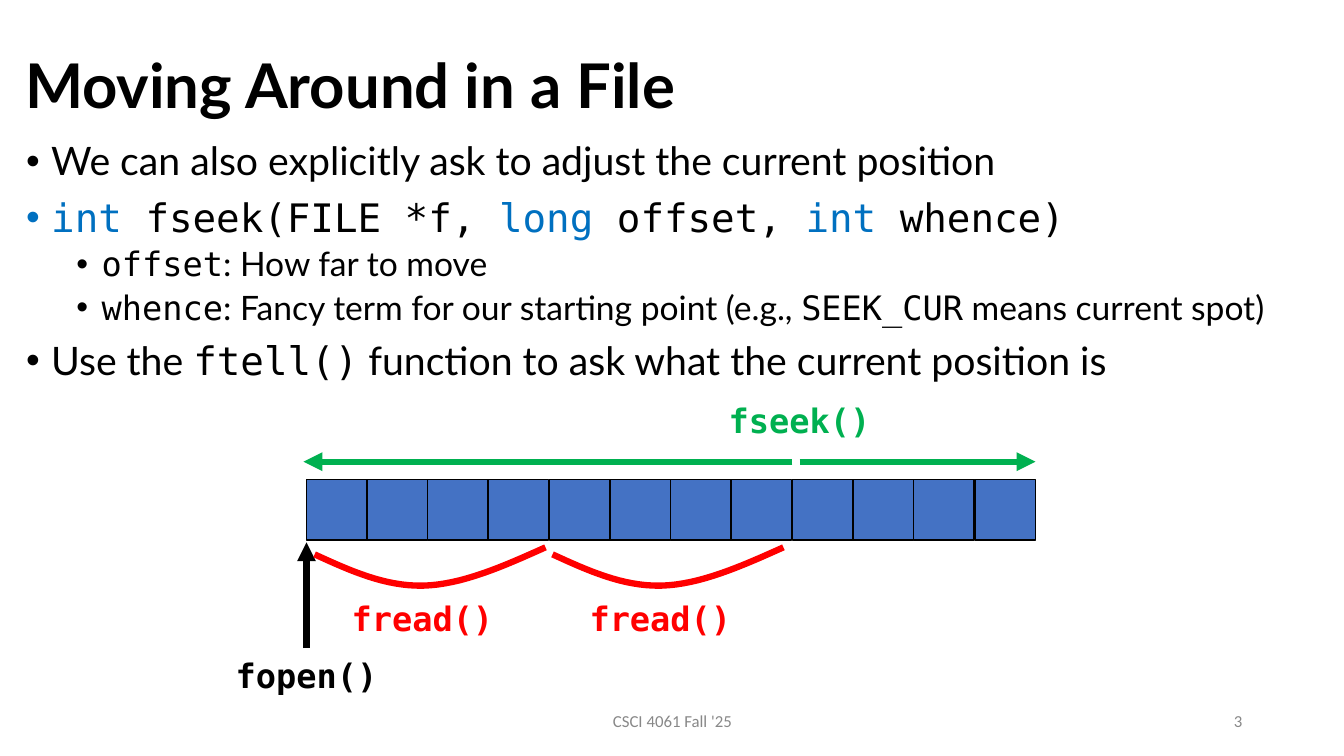
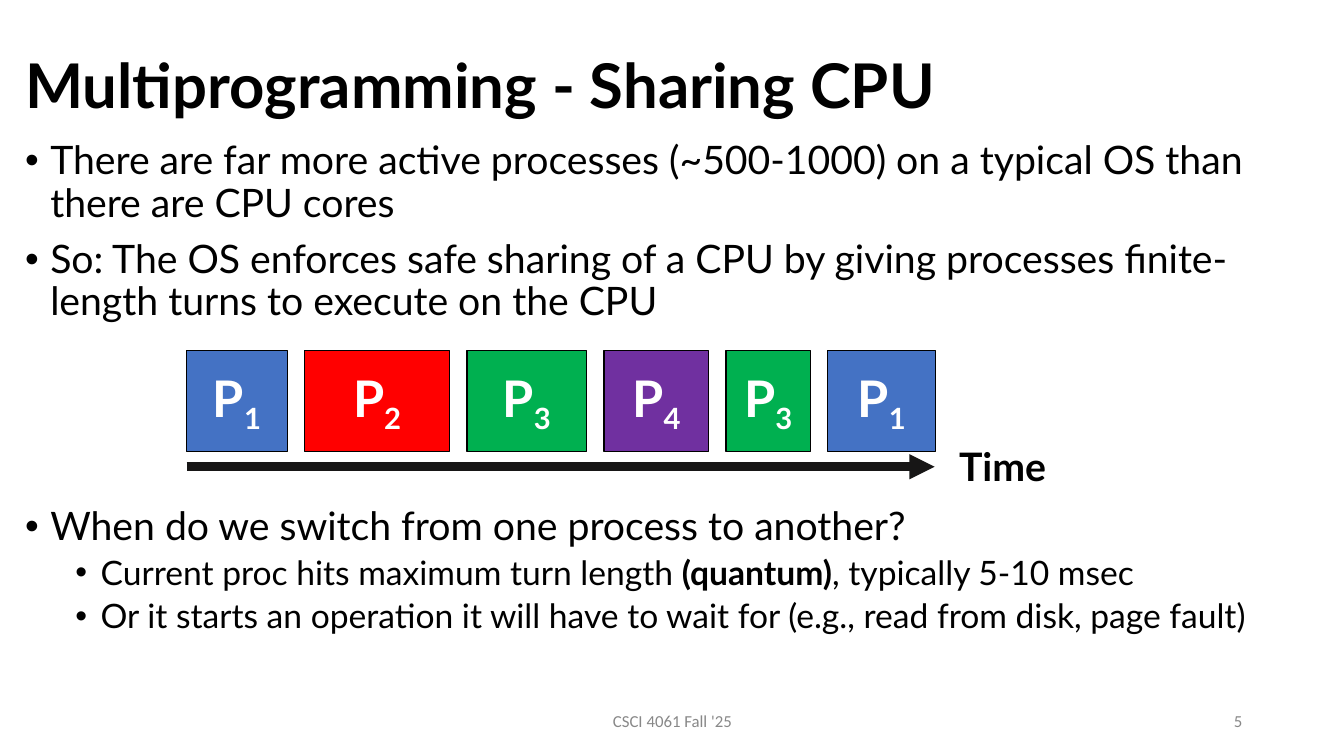
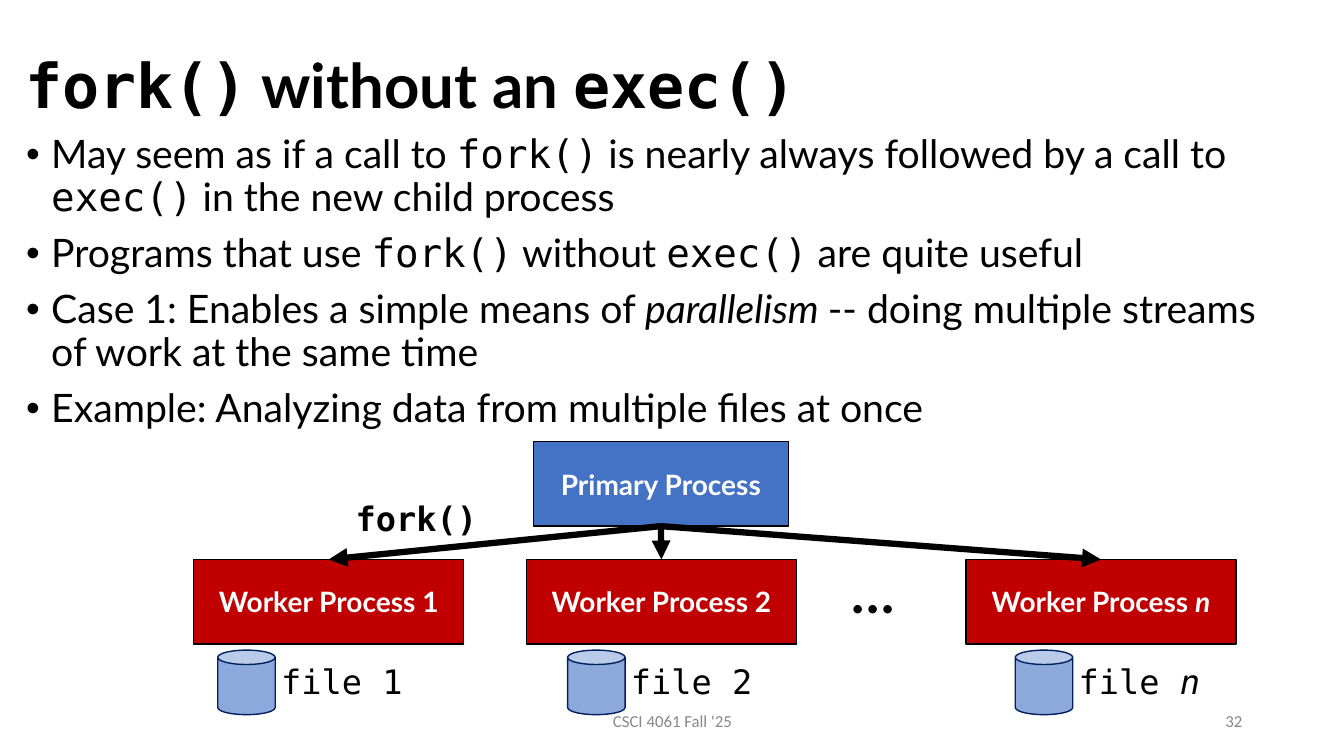
from lxml.etree import SubElement as Sub
from pptx import Presentation
from pptx.dml.color import RGBColor
from pptx.enum.shapes import MSO_CONNECTOR as Conn, MSO_SHAPE as Kind
from pptx.enum.text import MSO_ANCHOR as Anchor, PP_ALIGN as Align
from pptx.oxml.ns import qn
from pptx.util import Emu, Pt

SCALE = 9144  # 100 px to the inch
LATO, MONO = "Lato", "DejaVu Sans Mono"
BLACK, WHITE, GREY, INK = "000000", "FFFFFF", "888888", "171616"
BLUE, SKY, NAVY, CODE_BLUE = "4472C4", "8DA9DB", "002060", "0070C0"
RED, DARK_RED, GREEN, PURPLE = "FF0000", "C00000", "00B050", "7030A0"

CODE = {"name": MONO}
KEY = {"name": MONO, "hue": CODE_BLUE}
BOLD, ITALIC, LOW = {"bold": True}, {"italic": True}, {"base": -25000}


def px(n):
    return Emu(n * SCALE)


def rgb(hue):
    return RGBColor.from_string(hue)


def write(par, runs, size, hue=BLACK, name=LATO, bold=False):
    """Fill a paragraph; a run is a string or a (string, style) pair."""
    font = par.font
    font.size, font.name, font.bold = Pt(size), name, bold
    font.color.rgb = rgb(hue)
    for part in [runs] if isinstance(runs, str) else runs:
        text, style = (part, {}) if isinstance(part, str) else part
        run = par.add_run()
        run.text = text
        for key, value in style.items():
            if key == "hue":
                run.font.color.rgb = rgb(value)
            elif key == "base":
                run._r.get_or_add_rPr().set("baseline", str(value))
            else:
                setattr(run.font, key, value)


def frame(slide, box, anchor=Anchor.TOP):
    area = slide.shapes.add_textbox(*map(px, box)).text_frame
    area.word_wrap = True
    area.vertical_anchor = anchor
    return area


def label(slide, box, runs, size, align=Align.CENTER, anchor=Anchor.TOP, **look):
    par = frame(slide, box, anchor).paragraphs[0]
    par.alignment = align
    write(par, runs, size, **look)
    return par


def code(slide, box, runs, hue=BLACK, bold=True, align=Align.CENTER):
    label(slide, box, runs, 24, align, hue=hue, name=MONO, bold=bold)


def dot(par, level, hue):
    props = par._p.get_or_add_pPr()
    props.set("marL", str(px(25 + 50 * level)))
    props.set("indent", str(px(-25)))
    Sub(Sub(props, qn("a:buClr")), qn("a:srgbClr")).set("val", hue)
    Sub(props, qn("a:buFont")).set("typeface", "Arial")
    Sub(props, qn("a:buChar")).set("char", "•")


def bullets(slide, box, items):
    """Write (level, runs) pairs as a bulleted list."""
    area = frame(slide, box)
    for i, (level, runs) in enumerate(items):
        par = area.add_paragraph() if i else area.paragraphs[0]
        par.level = level
        par.line_spacing = 0.9
        par.space_before = Pt((5 if level else 10) if i else 0)
        style = {} if isinstance(runs[0], str) else runs[0][1]
        dot(par, level, style.get("hue", BLACK))
        write(par, runs, 24 if level else 28)


def block(slide, box, fill, runs="", size=20, kind=Kind.RECTANGLE, edge=BLACK):
    shape = slide.shapes.add_shape(kind, *map(px, box))
    shape.shadow.inherit = False
    shape.fill.solid()
    shape.fill.fore_color.rgb = rgb(fill)
    shape.line.color.rgb = rgb(edge)
    shape.line.width = Pt(1)
    if runs:
        area = shape.text_frame
        area.vertical_anchor = Anchor.MIDDLE
        area.paragraphs[0].alignment = Align.CENTER
        write(area.paragraphs[0], runs, size, WHITE, bold=True)
    return shape


def arrow(slide, ends=(0, 0, 0, 0), hue=BLACK, width=4.5):
    line = slide.shapes.add_connector(Conn.STRAIGHT, *map(px, ends))
    line.line.color.rgb = rgb(hue)
    line.line.width = Pt(width)
    Sub(line.line._get_or_add_ln(), qn("a:tailEnd")).set("type", "triangle")
    Sub(line._element.spPr, qn("a:effectLst"))
    return line


def bezier(a, b, c, d, steps=16):
    for i in range(1, steps + 1):
        t = i / steps
        u = 1 - t
        yield tuple(round(SCALE * (u**3 * p + 3 * u * u * t * q + 3 * u * t * t * r + t**3 * s))
                    for p, q, r, s in zip(a, b, c, d))


def swoop(slide, x, y):
    """Draw the sagging curve that spans one read."""
    low, end = (x + 144, y + 38), (x + 229, y)
    start = (x, y + 7)
    path = [*bezier(start, (x + 35, y + 23), (x + 70, y + 39), low),
            *bezier(low, (x + 146 + 36, y + 37), (x + 187, y + 19), end)]
    path = [*bezier(start, (x + 35, y + 23), (x + 70, y + 39), (x + 108, y + 38)),
            *bezier((x + 108, y + 38), (x + 146, y + 37), (x + 187, y + 19), end)]
    pen = slide.shapes.build_freeform(px(start[0]), px(start[1]), scale=1)
    pen.add_line_segments(path, close=False)
    curve = pen.convert_to_shape()
    curve.shadow.inherit = False
    curve.fill.background()
    curve.line.color.rgb = rgb(RED)
    curve.line.width = Pt(4.5)


def page(deck, title, number):
    """Add a slide with its title, footer and number."""
    slide = deck.slides.add_slide(deck.slide_layouts[6])
    head = label(slide, (15, 15, 1282, 145), title, 44, Align.LEFT, Anchor.MIDDLE, bold=True)
    head.line_spacing = 0.9
    for box, text, align in (((442, 695, 450, 40), "CSCI 4061 Fall '25", Align.CENTER),
                             ((942, 695, 300, 40), str(number), Align.RIGHT)):
        label(slide, box, text, 12, align, Anchor.MIDDLE, hue=GREY, name="Calibri")
    return slide


def seeking(deck):
    slide = page(deck, "Moving Around in a File", 3)
    bullets(slide, (16, 136, 1281, 268), [
        (0, ["We can also explicitly ask to adjust the current position"]),
        (0, [("int", KEY), (" fseek(FILE *f, ", CODE), ("long", KEY),
             (" offset, ", CODE), ("int", KEY), (" whence)", CODE)]),
        (1, [("offset", CODE), ": How far to move"]),
        (1, [("whence", CODE), ": Fancy term for our starting point (e.g., ",
             ("SEEK_CUR", CODE), " means current spot)"]),
        (0, ["Use the ", ("ftell()", CODE),
             " function to ask what the current position is"]),
    ])
    for i in range(12):
        block(slide, (304 + i * 663 // 11, 476, 60, 60), BLUE)
    arrow(slide, (304, 643, 304, 538))
    code(slide, (197, 645, 214, 50), "fopen()")
    for x in (312, 548):
        code(slide, (x, 588, 214, 50), "fread()", RED)
        swoop(slide, x, 543)
    code(slide, (686, 392, 214, 50), "fseek()", GREEN)
    arrow(slide, (786, 458, 301, 458), GREEN)
    arrow(slide, (793, 458, 1027, 458), GREEN)


def sharing(deck):
    slide = page(deck, "Multiprogramming - Sharing CPU", 5)
    bullets(slide, (15, 135, 1281, 200), [
        (0, ["There are far more active processes (~500-1000) on a typical OS "
             "than there are CPU cores"]),
        (0, ["So: The OS enforces safe sharing of a CPU by giving processes "
             "finite-length turns to execute on the CPU"]),
    ])
    bullets(slide, (15, 498, 1281, 167), [
        (0, ["When do we switch from one process to another?"]),
        (1, ["Current proc hits maximum turn length ", ("(quantum)", BOLD),
             ", typically 5-10 msec"]),
        (1, ["Or it starts an operation it will have to wait for "
             "(e.g., read from disk, page fault)"]),
    ])
    hues = {"1": BLUE, "2": RED, "3": GREEN, "4": PURPLE}
    x = 185
    for proc, width in zip("123431", (100, 144, 119, 104, 84, 107)):
        block(slide, (x, 348, width, 100), hues[proc], ["P", (proc, LOW)], 36)
        x += width + 17
    arrow(slide, (185, 463, 927, 463), INK, 6)
    label(slide, (918, 434, 153, 57), "Time", 28, bold=True)


def forking(deck):
    slide = page(deck, [("fork()", CODE), " without an ", ("exec()", CODE)], 32)
    bullets(slide, (16, 129, 1281, 305), [
        (0, ["May seem as if a call to ", ("fork()", CODE),
             " is nearly always followed by a call to ", ("exec()", CODE),
             " in the new child process"]),
        (0, ["Programs that use ", ("fork()", CODE), " without ",
             ("exec()", CODE), " are quite useful"]),
        (0, ["Case 1: Enables a simple means of ", ("parallelism ", ITALIC),
             "-- doing multiple streams of work at the same time"]),
        (0, ["Example: Analyzing data from multiple files at once"]),
    ])
    main_proc = block(slide, (529, 438, 253, 84), BLUE, "Primary Process")
    for x, can, tag in ((192, 216, "1"), (522, 563, "2"), (958, 1007, ("n", ITALIC))):
        worker = block(slide, (x, 555, 268, 84), DARK_RED, ["Worker Process ", tag])
        link = arrow(slide)
        link.begin_connect(main_proc, 2)
        link.end_connect(worker, 0)
        block(slide, (can, 645, 57, 64), SKY, kind=Kind.CAN, edge=NAVY)
        code(slide, (can + 53, 651, 148, 50), ["file ", tag], bold=False, align=Align.LEFT)
    label(slide, (835, 548, 100, 77), "…", 40, Align.LEFT, bold=True)
    code(slide, (343, 489, 148, 50), "fork()", align=Align.LEFT)


def main():
    deck = Presentation()
    deck.slide_width, deck.slide_height = px(1333), px(750)
    seeking(deck)
    sharing(deck)
    forking(deck)
    deck.save("out.pptx")


if __name__ == "__main__":
    main()
